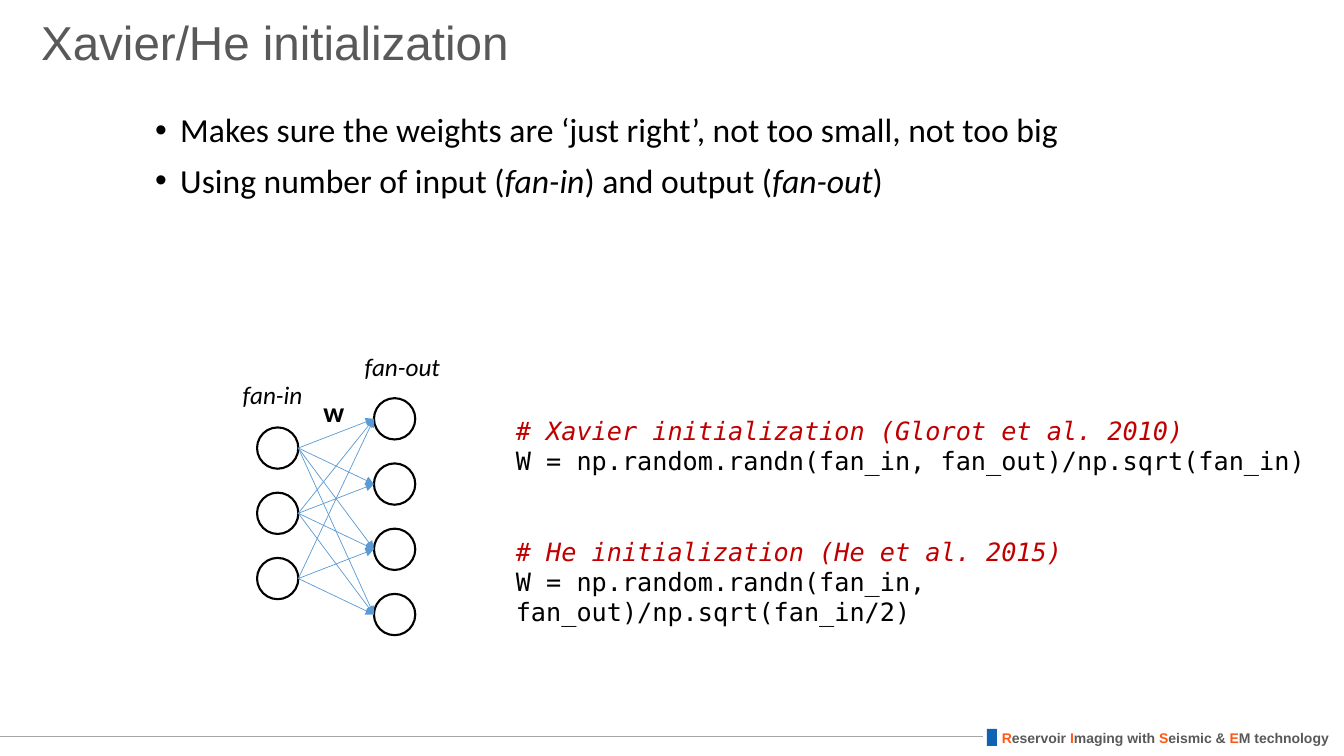
from itertools import product

from lxml.etree import SubElement
from pptx import Presentation
from pptx.dml.color import RGBColor
from pptx.enum.shapes import MSO_CONNECTOR, MSO_SHAPE
from pptx.enum.text import MSO_ANCHOR
from pptx.oxml.ns import qn
from pptx.util import Pt

COLORS = {
    "black": "000000",
    "gray": "595959",
    "rule": "A6A6A6",
    "blue": "0E64B2",
    "orange": "FF5815",
    "arrow": "5B9BD5",
    "comment": "C00000",
}


def color(name):
    return RGBColor.from_string(COLORS[name])


class SlideBuilder:
    """Holds the text style and the current slide; lengths are in points."""

    base_style = {"name": "Calibri", "size": 18, "color": "black"}

    def __init__(self, page):
        self.page = page

    def text(self, frame, paragraphs, wrap=True, anchor=MSO_ANCHOR.TOP,
             bullet=None, spacing=None, gaps=None, **style):
        """Each paragraph is a list of (words, style changes); gaps maps index to space before."""
        box = self.page.shapes.add_textbox(*map(Pt, frame)).text_frame
        box.word_wrap = wrap
        box.vertical_anchor = anchor
        for index, spans in enumerate(paragraphs):
            para = box.add_paragraph() if index else box.paragraphs[0]
            if bullet:
                self.add_bullet(para, bullet)
            if spacing:
                para.line_spacing = spacing
            if gaps and index in gaps:
                para.space_before = Pt(gaps[index])
            for words, changes in spans:
                span = para.add_run()
                span.text = words
                self.set_font(span.font, {**self.base_style, **style, **changes})

    def set_font(self, font, values):
        for key, value in values.items():
            if key == "color":
                font.color.rgb = color(value)
            else:
                setattr(font, key, Pt(value) if key == "size" else value)

    def add_bullet(self, para, symbol, indent=18):
        properties = para._p.get_or_add_pPr()
        properties.set("marL", str(Pt(indent)))
        properties.set("indent", str(-Pt(indent)))
        SubElement(properties, qn("a:buFont")).set("typeface", "Arial")
        SubElement(properties, qn("a:buChar")).set("char", symbol)

    def shape(self, kind, frame, fill=None, outline=None, width=1.5):
        shape = self.page.shapes.add_shape(kind, *map(Pt, frame))
        shape.shadow.inherit = False
        if fill:
            shape.fill.solid()
            shape.fill.fore_color.rgb = color(fill)
        else:
            shape.fill.background()
        if outline:
            shape.line.color.rgb = color(outline)
            shape.line.width = Pt(width)
        else:
            shape.line.fill.background()

    def line(self, start, end, stroke, arrow=False):
        line = self.page.shapes.add_connector(
            MSO_CONNECTOR.STRAIGHT, *map(Pt, (*start, *end)))
        line.line.color.rgb = color(stroke)
        line.line.width = Pt(0.5)
        if arrow:
            SubElement(line.line._get_or_add_ln(), qn("a:tailEnd")).set("type", "triangle")
        SubElement(line._element.spPr, qn("a:effectLst"))


def add_footer(slide):
    initial, rest = {"color": "orange"}, {"color": "gray"}
    motto = [("R", initial), ("eservoir ", rest), ("I", initial), ("maging with ", rest),
             ("S", initial), ("eismic & ", rest), ("E", initial), ("M technology", rest)]
    slide.text((708.5, 517.7, 250.6, 19.4), [motto], wrap=False,
               name="Arial", size=10, bold=True)
    slide.line((702, 526.3), (0, 526.3), "rule")
    slide.shape(MSO_SHAPE.RECTANGLE, (704.9, 520.6, 7.2, 12.2), fill="blue")


def add_network(slide):
    size, pitch = 29.5, 46.6
    input_left, output_left = 183.6, 267.1
    input_tops = [305.3 + pitch * row for row in range(3)]
    output_tops = [284.4 + pitch * row for row in range(4)]
    unlinked = (2, 1)

    for left, tops in ((input_left, input_tops), (output_left, output_tops)):
        for top in tops:
            slide.shape(MSO_SHAPE.OVAL, (left, top, size, size), outline="black")
    for source, target in product(range(3), range(4)):
        if (source, target) != unlinked:
            slide.line((input_left + size, input_tops[source] + size / 2),
                       (output_left, output_tops[target] + size / 2), "arrow", arrow=True)

    slide.text((223.9, 277.9, 30.2, 31.7), [[("w", {})]], size=20, bold=True)
    slide.text((166.3, 267.1, 69.8, 28.8), [[("fan-in", {})]], italic=True)
    slide.text((253.4, 247.7, 69.8, 28.8), [[("fan-out", {})]], italic=True)


def main():
    deck = Presentation()
    deck.slide_width, deck.slide_height = Pt(960), Pt(540)
    slide = SlideBuilder(deck.slides.add_slide(deck.slide_layouts[6]))

    add_footer(slide)
    slide.text((22.3, 0, 828, 64.1), [[("Xavier/He initialization", {})]],
               anchor=MSO_ANCHOR.MIDDLE, spacing=0.9, name="Arial", size=34, color="gray")

    italic = {"italic": True}
    slide.text((103.7, 77.8, 828, 135.4), [
        [("Makes sure the weights are ‘just right’, not too small, not too big", {})],
        [("Using number of input (", {}), ("fan-in", italic), (") and output (", {}),
         ("fan-out", italic), (")", {})],
    ], bullet="•", spacing=0.9, gaps={1: 10}, size=24)

    add_network(slide)

    comment = {"color": "comment", "italic": True}
    slide.text((361.4, 293, 588.2, 159.8), [
        [("# Xavier initialization (Glorot et al. 2010)", comment)],
        [("W = np.random.randn(fan_in, fan_out)/np.sqrt(fan_in)", {})],
        [("# He initialization (He et al. 2015)", comment)],
        [("W = np.random.randn(fan_in, fan_out)/np.sqrt(fan_in/2)", {})],
    ], gaps={2: 43}, name="DejaVu Sans Mono")

    deck.save("out.pptx")


if __name__ == "__main__":
    main()
